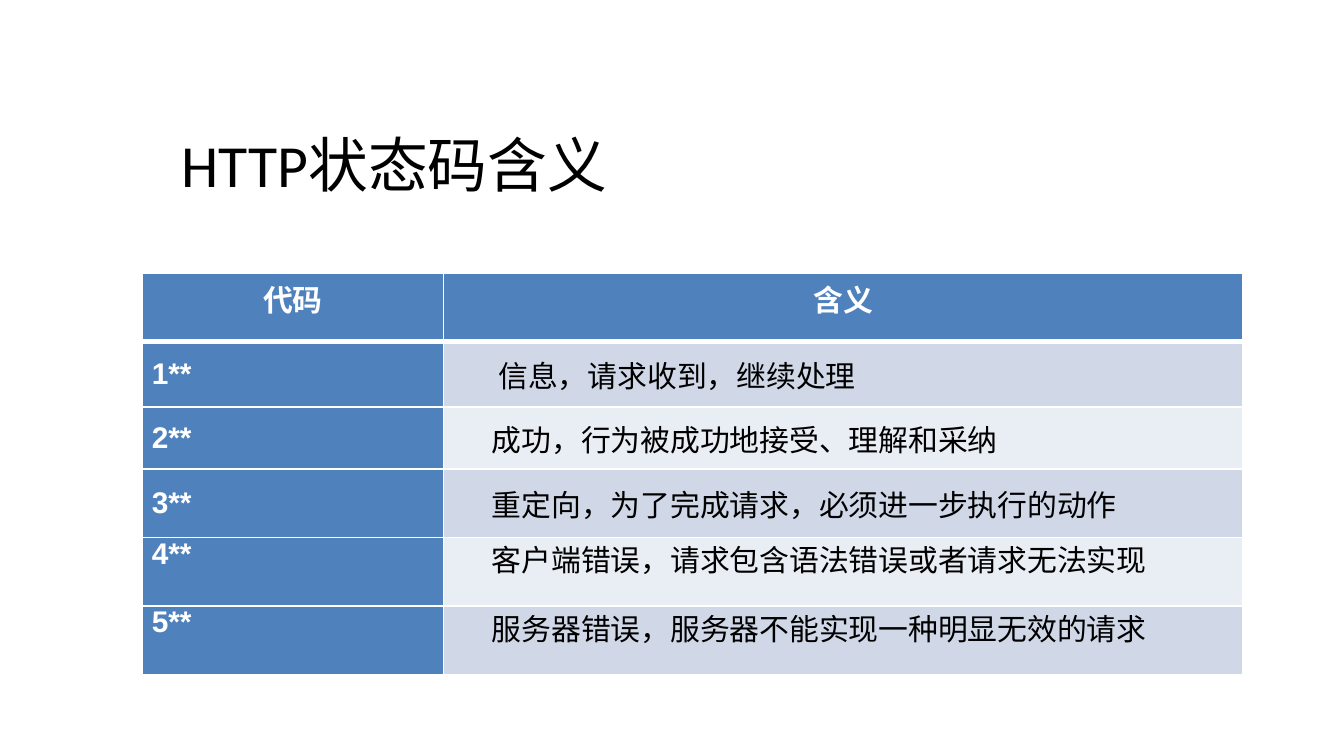
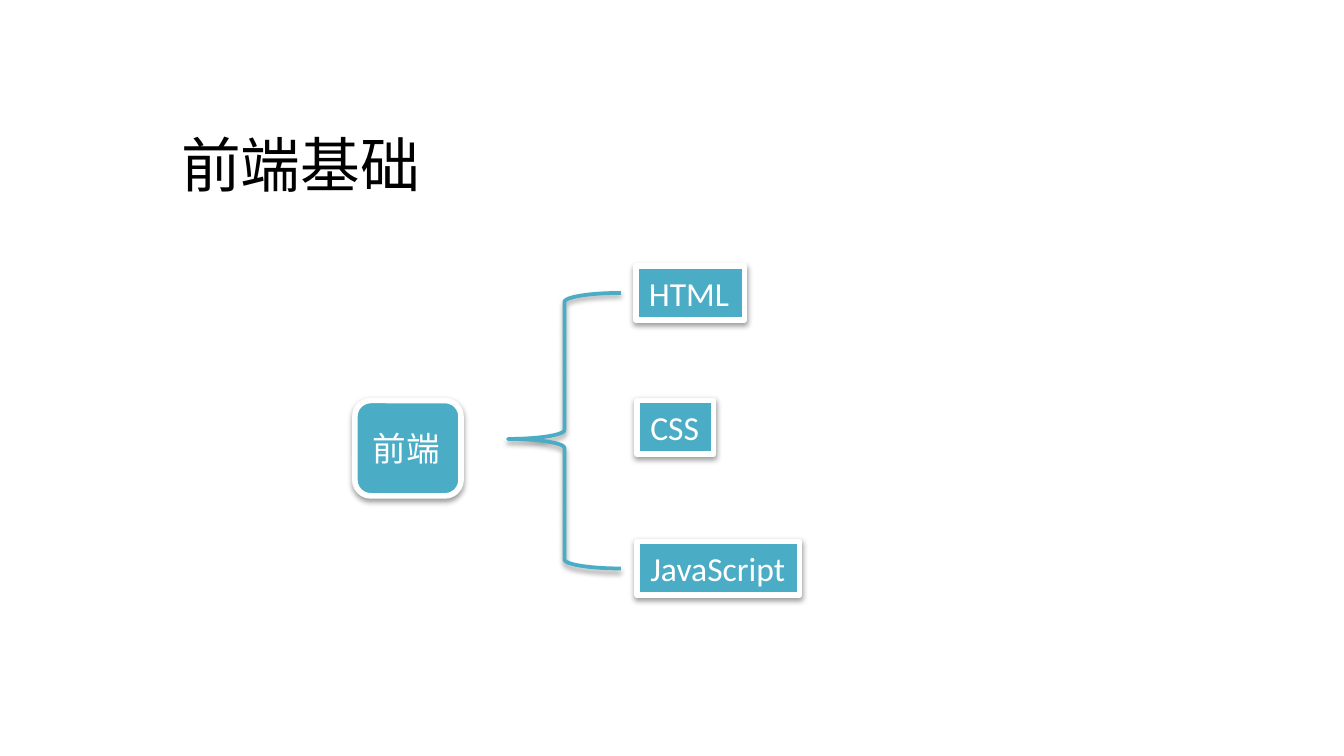
from dataclasses import dataclass

from lxml import etree
from pptx import Presentation
from pptx.dml.color import RGBColor
from pptx.enum.shapes import MSO_SHAPE
from pptx.enum.text import MSO_ANCHOR, MSO_AUTO_SIZE, PP_ALIGN
from pptx.oxml.ns import qn
from pptx.util import Inches, Pt

RECT, ROUND_RECT, BRACE = MSO_SHAPE.RECTANGLE, MSO_SHAPE.ROUNDED_RECTANGLE, MSO_SHAPE.LEFT_BRACE
TOP, MIDDLE = MSO_ANCHOR.TOP, MSO_ANCHOR.MIDDLE
LEFT, CENTER, JUSTIFY = PP_ALIGN.LEFT, PP_ALIGN.CENTER, PP_ALIGN.JUSTIFY
FIT_SHAPE = MSO_AUTO_SIZE.SHAPE_TO_FIT_TEXT
BLANK = 6
GRID = 0.1  # inches in one grid column or row
SLIDE_COLS = 100


@dataclass(frozen=True)
class Theme:
    black: str = "000000"
    white: str = "FFFFFF"
    header: str = "4F81BD"
    bands: tuple = ("D0D8E8", "E9EDF4")
    node: str = "4BACC6"
    font: str = "Calibri"
    code_font: str = "Arial"
    title_size: int = 32
    node_size: int = 18
    table_size: int = 16


THEME = Theme()

STATUS_CODES = [
    ("1**", " 信息，请求收到，继续处理", 4.9, MIDDLE),
    ("2**", "成功，行为被成功地接受、理解和采纳", 4.6, MIDDLE),
    ("3**", "重定向，为了完成请求，必须进一步执行的动作", 5.1, MIDDLE),
    ("4**", "客户端错误，请求包含语法错误或者请求无法实现", 5.1, TOP),
    ("5**", "服务器错误，服务器不能实现一种明显无效的请求", 5.1, TOP),
]
HEADER_ROWS = 5.1
CODE_COLS, MEANING_COLS = 22.4, 59.5

# label, left column, top row, width in columns
LANGUAGES = [
    ("HTML", 47.3, 19.8, 8.1),
    ("CSS", 47.4, 29.8, 5.7),
    ("JavaScript", 47.4, 40.3, 12.1),
]


def grid(*cells):
    """Turn grid columns or rows into lengths."""
    return [Inches(round(c * GRID, 2)) for c in cells]


def rgb(color):
    return RGBColor.from_string(color)


def add_run(p, text, size, color, font=THEME.font, bold=False):
    r = p.add_run()
    r.text = text
    r.font.name, r.font.size, r.font.bold = font, Pt(size), bold
    r.font.color.rgb = rgb(color)


def add_title(slide, text):
    tf = slide.shapes.add_textbox(*grid(12.5, 9, 60.3, 6.7)).text_frame
    tf.word_wrap = True
    add_run(tf.paragraphs[0], text, THEME.title_size, THEME.black)


def add_shadow(sp):
    effects = etree.SubElement(sp._element.spPr, qn("a:effectLst"))
    shadow = etree.SubElement(effects, qn("a:outerShdw"), blurRad=str(Pt(3.1)),
                              dist=str(Pt(1.6)), dir="5400000", rotWithShape="0")
    color = etree.SubElement(shadow, qn("a:srgbClr"), val=THEME.black)
    etree.SubElement(color, qn("a:alpha"), val="38000")


def add_outline(slide, kind, at, line, width):
    sp = slide.shapes.add_shape(kind, *grid(*at))
    sp.line.color.rgb = rgb(line)
    sp.line.width = Pt(width)
    add_shadow(sp)
    return sp


def add_node(slide, kind, text, at, anchor=TOP, hug=False):
    """Add a filled label; hug keeps it on one line and fits the shape to it."""
    sp = add_outline(slide, kind, at, THEME.white, 3)
    sp.fill.solid()
    sp.fill.fore_color.rgb = rgb(THEME.node)
    tf = sp.text_frame
    tf.vertical_anchor = anchor
    tf.word_wrap = not hug
    if hug:
        tf.auto_size = FIT_SHAPE
    p = tf.paragraphs[0]
    p.alignment = LEFT
    add_run(p, text, THEME.node_size, THEME.white)


def add_brace(slide, at, adjustments):
    sp = add_outline(slide, BRACE, at, THEME.node, 2)
    sp.fill.background()
    for i, value in enumerate(adjustments):
        sp.adjustments[i] = value


def set_borders(cell, top=1, bottom=1):
    tc_pr = cell._tc.get_or_add_tcPr()
    for i, (side, width) in enumerate(zip("LRTB", (1, 1, top, bottom))):
        ln = etree.Element(qn(f"a:ln{side}"), w=str(Pt(width)))
        fill = etree.SubElement(ln, qn("a:solidFill"))
        etree.SubElement(fill, qn("a:srgbClr"), val=THEME.white)
        tc_pr.insert(i, ln)


def style_cell(cell, fill, anchor, align):
    """Set the look of a cell and return its paragraph."""
    cell.fill.solid()
    cell.fill.fore_color.rgb = rgb(fill)
    cell.vertical_anchor = anchor
    cell.margin_left = cell.margin_right = Inches(0.07)
    cell.margin_top = cell.margin_bottom = 0
    p = cell.text_frame.paragraphs[0]
    p.alignment = align
    return p


def add_heading_cell(cell, text, anchor, align):
    p = style_cell(cell, THEME.header, anchor, align)
    add_run(p, text, THEME.table_size, THEME.white, THEME.code_font, True)
    return p


def add_meaning_cell(cell, text, anchor, fill):
    p = style_cell(cell, fill, anchor, LEFT)
    p_pr = p._p.get_or_add_pPr()
    p_pr.set("marL", "0")
    p_pr.set("indent", str(Inches(0.29)))
    add_run(p, text, THEME.table_size, THEME.black)


def add_status_table(slide):
    heights = [HEADER_ROWS] + [row[2] for row in STATUS_CODES]
    widths = (CODE_COLS, MEANING_COLS)
    at = grid(10.6, 20.3, sum(widths), sum(heights))
    table = slide.shapes.add_table(len(heights), len(widths), *at).table
    table.first_row = table.horz_banding = False
    for col, width in zip(table.columns, grid(*widths)):
        col.width = width
    for row, height in zip(table.rows, grid(*heights)):
        row.height = height

    for i, text in enumerate(("代码", "含义")):
        p = add_heading_cell(table.cell(0, i), text, MIDDLE, CENTER)
        p.line_spacing = Pt(14)
        set_borders(table.cell(0, i), bottom=3)
    for i, (code, meaning, _, anchor) in enumerate(STATUS_CODES):
        code_cell, meaning_cell = table.rows[i + 1].cells
        add_heading_cell(code_cell, code, anchor, JUSTIFY)
        add_meaning_cell(meaning_cell, meaning, anchor, THEME.bands[i % 2])
        for cell in (code_cell, meaning_cell):
            set_borders(cell, top=1 if i else 3)


def add_language_tree(slide):
    add_brace(slide, (37.8, 21.8, 8.4, 20.5), (0.08, 0.53))
    for text, left, top, width in LANGUAGES:
        add_node(slide, RECT, text, (left, top, width, 4), hug=True)
    add_node(slide, ROUND_RECT, "前端", (26.4, 29.8, 7.9, 7.1), MIDDLE)


def main():
    prs = Presentation()
    prs.slide_width, = grid(SLIDE_COLS)
    prs.slide_height = prs.slide_width * 9 // 16
    for title, add_content in (("HTTP状态码含义", add_status_table),
                               ("前端基础", add_language_tree)):
        slide = prs.slides.add_slide(prs.slide_layouts[BLANK])
        add_title(slide, title)
        add_content(slide)
    prs.save("out.pptx")


if __name__ == "__main__":
    main()
